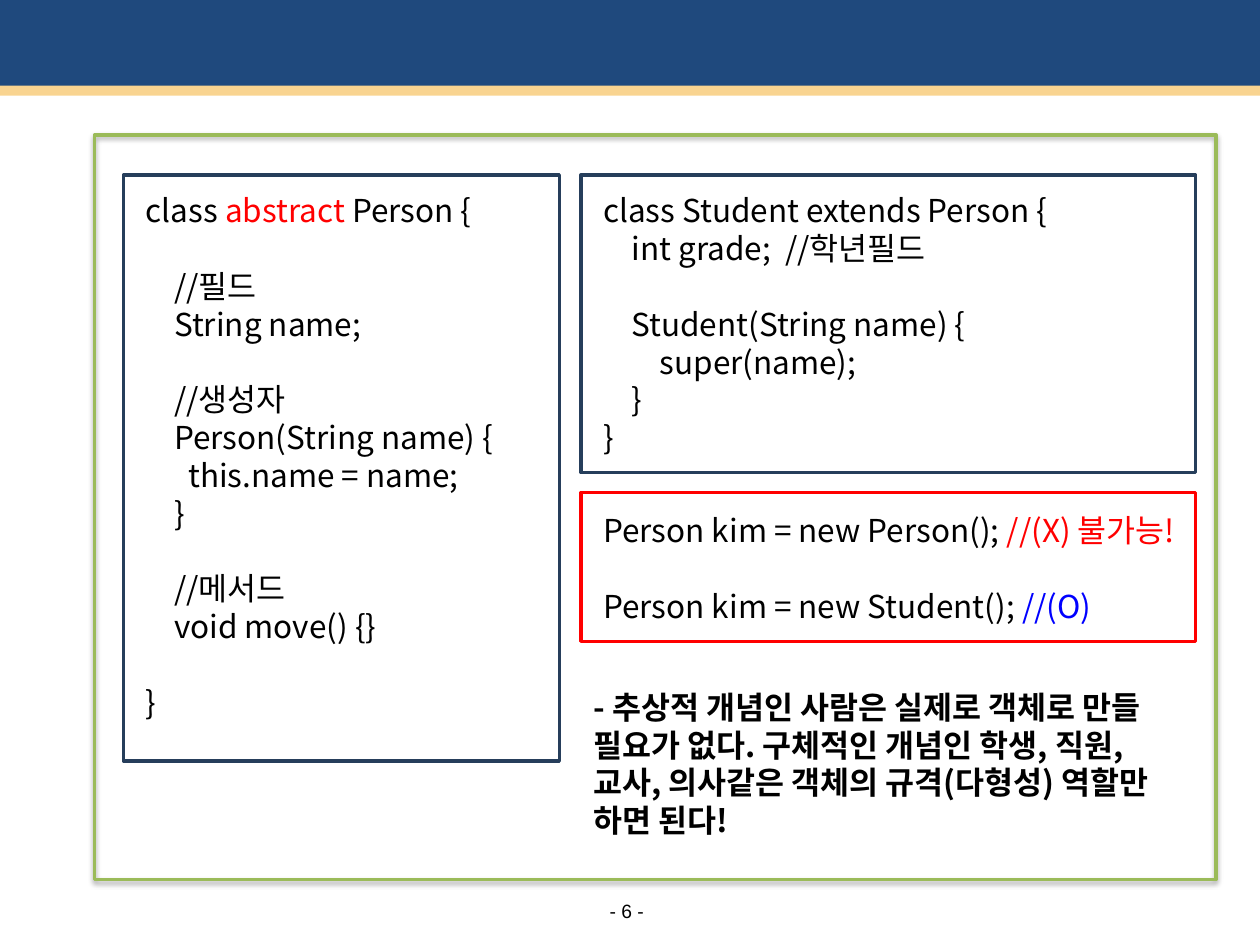
"""Build a slide on abstract classes with two code panels and a usage panel."""
from dataclasses import dataclass
from typing import NamedTuple, Optional

from lxml import etree
from pptx import Presentation
from pptx import util as u
from pptx.dml.color import RGBColor
from pptx.enum import shapes, text
from pptx.oxml.ns import qn


@dataclass(frozen=True)
class Theme:
    """Colours, fonts and type sizes."""
    navy: str = "1F497D"
    sand: str = "F9D490"
    green: str = "9BBB59"
    frame: str = "263E5B"
    red: str = "FF0000"
    blue: str = "0000FF"
    black: str = "000000"
    body_font: str = "Noto Sans CJK KR"
    page_font: str = "Arial"
    body: float = 18
    page: float = 11
    leading: float = 21.6
    outline: float = 2


class Box(NamedTuple):
    """A rectangle in inches."""
    x: float
    y: float
    w: float
    h: float


class Span(NamedTuple):
    """A piece of text in one colour."""
    words: str
    color: str


class Line(NamedTuple):
    """A line of text, optionally with an empty line's gap above."""
    spans: tuple
    gap: bool = False


class Panel(NamedTuple):
    """An outlined panel and the code inside it."""
    frame: Box
    color: str
    label: Box
    lines: list


T = Theme()


def plain(words: str, gap: bool = False) -> Line:
    """Return a line in black."""
    return Line((Span(words, T.black),), gap)


PERSON = [
    Line((Span("class ", T.black), Span("abstract", T.red), Span(" Person {", T.black))),
    plain("    //필드", True),
    plain("    String name;"),
    plain("    //생성자", True),
    plain("    Person(String name) {"),
    plain("      this.name = name;"),
    plain("    }"),
    plain("    //메서드", True),
    plain("    void move() {}"),
    plain("}", True),
]
STUDENT = [
    plain("class Student extends Person {"),
    plain("    int grade;  //학년필드"),
    plain("    Student(String name) {", True),
    plain("        super(name);"),
    plain("    }"),
    plain("}"),
]
USAGE = [
    Line((Span("Person kim = new Person(); ", T.black), Span("//(X) 불가능!", T.red))),
    Line((Span("Person kim = new Student(); ", T.black), Span("//(O)", T.blue)), True),
]
NOTE = [plain("- 추상적 개념인 사람은 실제로 객체로 만들 필요가 없다. 구체적인 개념인 학생, 직원, "
              "교사, 의사같은 객체의 규격(다형성) 역할만 하면 된다!")]
PANELS = [
    Panel(Box(0.98, 1.39, 3.46, 4.65), T.frame, Box(1.06, 1.47, 3.39, 4.5), PERSON),
    Panel(Box(4.61, 1.39, 4.88, 2.36), T.frame, Box(4.69, 1.47, 4.8, 2.2), STUDENT),
    Panel(Box(4.61, 3.91, 4.88, 1.18), T.red, Box(4.69, 4.01, 4.8, 0.99), USAGE),
]


def apply(target: object, values: dict) -> None:
    """Set each named attribute on the target."""
    for name, value in values.items():
        setattr(target, name, value)


def place(box: Box) -> list:
    """Return the box as lengths."""
    return [u.Inches(v) for v in box]


def add_rect(s, box: Box, fill: Optional[str] = None, line: Optional[str] = None,
             kind=shapes.MSO_SHAPE.RECTANGLE):
    """Draw a flat shape with an optional fill and outline."""
    sp = s.shapes.add_shape(kind, *place(box))
    sp.shadow.inherit = False
    if fill:
        sp.fill.solid()
        sp.fill.fore_color.rgb = RGBColor.from_string(fill)
    else:
        sp.fill.background()
    if line:
        sp.line.color.rgb = RGBColor.from_string(line)
        sp.line.width = u.Pt(T.outline)
    else:
        sp.line.fill.background()
    return sp


def add_shadow(sp, color: str) -> None:
    """Give the shape a soft shadow below it."""
    effects = sp._element.spPr.find(qn("a:effectLst"))
    shadow = etree.SubElement(effects, qn("a:outerShdw"), blurRad=str(u.Pt(3.1)),
                              dist=str(u.Pt(1.8)), dir="5400000", rotWithShape="0")
    tint = etree.SubElement(shadow, qn("a:srgbClr"), val=color)
    etree.SubElement(tint, qn("a:alpha"), val="35000")


def add_text(s, box: Box, lines: list, bold: bool = False) -> None:
    """Write lines of body text in a box."""
    tf = s.shapes.add_textbox(*place(box)).text_frame
    tf.word_wrap = True
    for i, line in enumerate(lines):
        p = tf.add_paragraph() if i else tf.paragraphs[0]
        p.line_spacing = u.Pt(T.leading)
        if line.gap:
            p.space_before = u.Pt(T.leading)
        for span in line.spans:
            r = p.add_run()
            r.text = span.words
            apply(r.font, {"size": u.Pt(T.body), "name": T.body_font, "bold": bold})
            r.font.color.rgb = RGBColor.from_string(span.color)
            etree.SubElement(r.font._element, qn("a:ea"), typeface=T.body_font)


def add_page_number(s, box: Box, label: str) -> None:
    """Write the centred page number."""
    tf = s.shapes.add_textbox(*place(box)).text_frame
    apply(tf, {"margin_left": 0, "margin_right": 0, "margin_top": 0, "margin_bottom": 0,
               "word_wrap": False, "vertical_anchor": text.MSO_ANCHOR.MIDDLE})
    p = tf.paragraphs[0]
    p.alignment = text.PP_ALIGN.CENTER
    r = p.add_run()
    r.text = label
    apply(r.font, {"size": u.Pt(T.page), "name": T.page_font})
    r.font.color.rgb = RGBColor.from_string(T.black)


def main() -> None:
    """Build and save the slide."""
    prs = Presentation()
    apply(prs, {"slide_width": u.Inches(10), "slide_height": u.Inches(7.5)})
    s = prs.slides.add_slide(prs.slide_layouts[6])
    add_rect(s, Box(0, -0.03, 10, 0.76), fill=T.navy)
    add_rect(s, Box(0, 0.68, 10, 0.08), fill=T.sand)
    add_page_number(s, Box(4.76, 7.13, 0.43, 0.19), "- 6 -")
    border = add_rect(s, Box(0.75, 1.07, 8.9, 5.91), line=T.green,
                      kind=shapes.MSO_SHAPE.FLOWCHART_PROCESS)
    add_shadow(border, T.black)
    for panel in PANELS:
        add_text(s, panel.label, panel.lines)
        add_rect(s, panel.frame, line=panel.color)
    add_text(s, Box(4.61, 5.41, 4.85, 1.3), NOTE, bold=True)
    prs.save("out.pptx")


if __name__ == "__main__":
    main()
